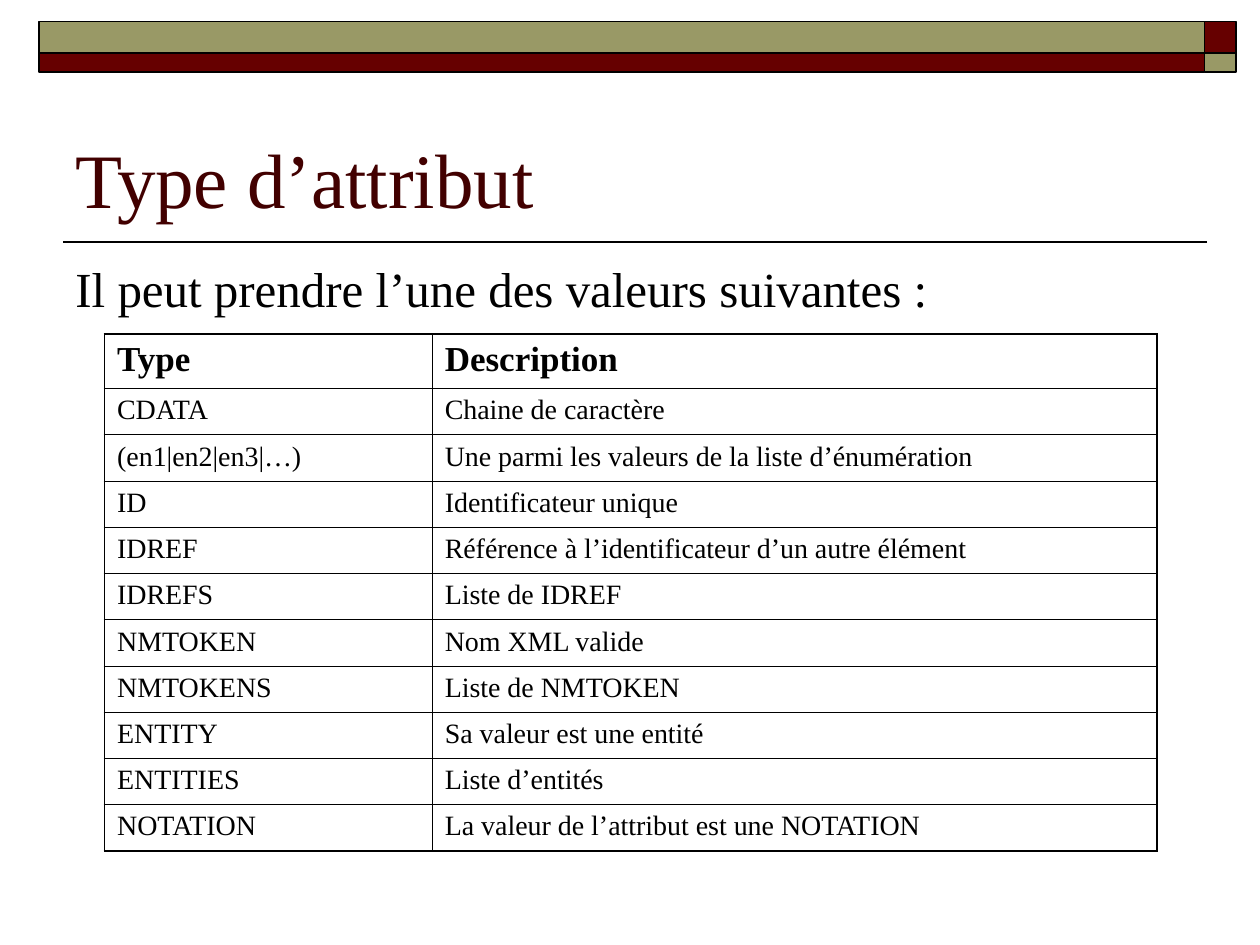
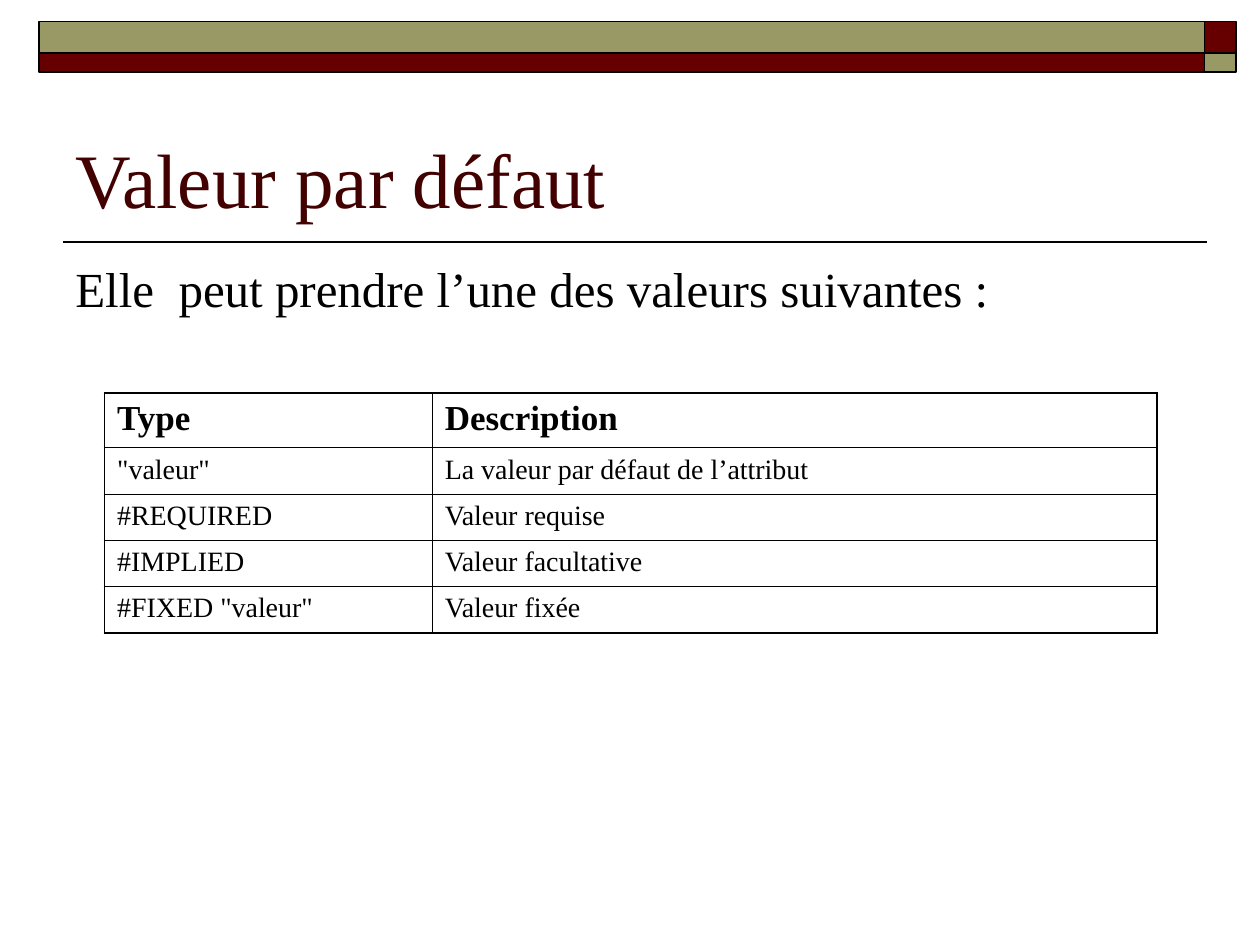
from lxml import etree
from pptx import Presentation
from pptx.dml.color import RGBColor
from pptx.enum import shapes, text
from pptx.oxml import ns
from pptx.util import Inches, Pt

FONT = "Times New Roman"
BLACK = RGBColor(0x00, 0x00, 0x00)
TITLE = RGBColor(0x42, 0x00, 0x00)
MAROON = RGBColor(0x66, 0x00, 0x00)
OLIVE = RGBColor(0x99, 0x99, 0x66)
THIN, THICK = Pt(0.45), Pt(1.08)
HEADER_HEIGHT = 0.43

BANDS = [
    (9.56, 0.17, 0.25, 0.25, MAROON),
    (0.31, 0.17, 9.25, 0.25, OLIVE),
    (0.31, 0.42, 9.25, 0.15, MAROON),
    (9.56, 0.42, 0.25, 0.15, OLIVE),
]
HEADER = ("Type", "Description")
SLIDES = [
    ("Type d’attribut", "Il peut prendre l’une des valeurs suivantes :", 2.65, 4.1, [
        HEADER,
        ("CDATA", "Chaine de caractère"),
        ("(en1|en2|en3|…)", "Une parmi les valeurs de la liste d’énumération"),
        ("ID", "Identificateur unique"),
        ("IDREF", "Référence à l’identificateur d’un autre élément"),
        ("IDREFS", "Liste de IDREF"),
        ("NMTOKEN", "Nom XML valide"),
        ("NMTOKENS", "Liste de NMTOKEN"),
        ("ENTITY", "Sa valeur est une entité"),
        ("ENTITIES", "Liste d’entités"),
        ("NOTATION", "La valeur de l’attribut est une NOTATION"),
    ]),
    ("Valeur par défaut", "Elle  peut prendre l’une des valeurs suivantes :", 3.12, 1.9, [
        HEADER,
        ('"valeur"', "La valeur par défaut de l’attribut"),
        ("#REQUIRED", "Valeur requise"),
        ("#IMPLIED", "Valeur facultative"),
        ('#FIXED "valeur"', "Valeur fixée"),
    ]),
]


def write(tf, words, size, color, before=0, bold=False):
    tf.text = words
    p = tf.paragraphs[0]
    p.space_before = Pt(before)
    f = p.runs[0].font
    f.name, f.size, f.bold = FONT, Pt(size), bold
    f.color.rgb = color


def set_borders(cell, widths):
    tcPr = cell._tc.get_or_add_tcPr()
    for i, (side, width) in enumerate(zip("LRTB", widths)):
        ln = etree.Element(ns.qn("a:ln" + side), w=str(int(width)))
        fill = etree.SubElement(ln, ns.qn("a:solidFill"))
        etree.SubElement(fill, ns.qn("a:srgbClr"), val=str(BLACK))
        tcPr.insert(i, ln)


prs = Presentation()
prs.slide_width, prs.slide_height = Inches(10), Inches(7.5)

for title, intro, top, height, rows in SLIDES:
    s = prs.slides.add_slide(prs.slide_layouts[6])

    rule = s.shapes.add_connector(shapes.MSO_CONNECTOR.STRAIGHT,
                                  Inches(9.58), Inches(1.92), Inches(0.5), Inches(1.92))
    rule.line.color.rgb = BLACK
    rule.line.width = Pt(1)
    etree.SubElement(rule._element.spPr, ns.qn("a:effectLst"))

    for x, y, w, h, color in BANDS:
        sp = s.shapes.add_shape(shapes.MSO_SHAPE.RECTANGLE,
                                Inches(x), Inches(y), Inches(w), Inches(h))
        sp.shadow.inherit = False
        sp.fill.solid()
        sp.fill.fore_color.rgb = color
        sp.line.color.rgb = BLACK
        sp.line.width = Pt(1)

    tf = s.shapes.add_textbox(Inches(0.5), Inches(0.58), Inches(9), Inches(1.25)).text_frame
    tf.word_wrap = True
    tf.vertical_anchor = text.MSO_ANCHOR.BOTTOM
    write(tf, title, 44, TITLE)

    tf = s.shapes.add_textbox(Inches(0.5), Inches(2), Inches(8.75), Inches(0.81)).text_frame
    tf.word_wrap = True
    write(tf, intro, 28, BLACK, before=7)
    pPr = tf.paragraphs[0]._p.get_or_add_pPr()
    pPr.set("marL", str(Inches(0.51)))
    pPr.set("indent", str(-Inches(0.51)))

    last = len(rows) - 1
    table = s.shapes.add_table(len(rows), 2, Inches(0.83), Inches(top),
                               Inches(8.35), Inches(height)).table
    table.first_row = table.horz_banding = False
    table.columns[0].width, table.columns[1].width = Inches(2.6), Inches(5.75)
    for i, row in enumerate(rows):
        head = i == 0
        table.rows[i].height = Inches(HEADER_HEIGHT if head else (height - HEADER_HEIGHT) / last)
        for j, words in enumerate(row):
            cell = table.cell(i, j)
            cell.fill.background()
            write(cell.text_frame, words, 20 if head else 16, BLACK,
                  before=5 if head else 4, bold=head)
            outer = (j == 0, j == 1, head, i == last)
            set_borders(cell, [THICK if edge else THIN for edge in outer])

prs.save("out.pptx")
